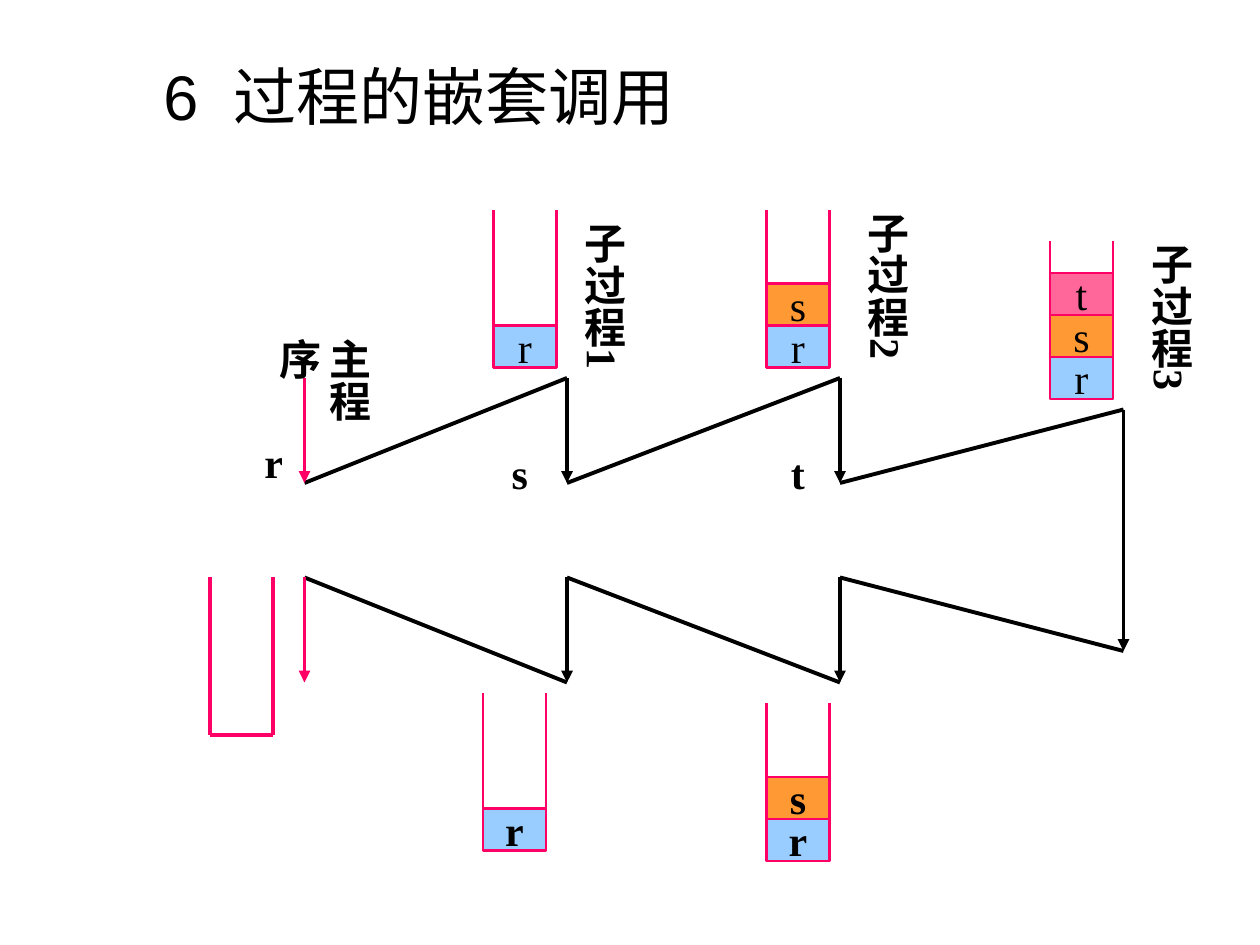
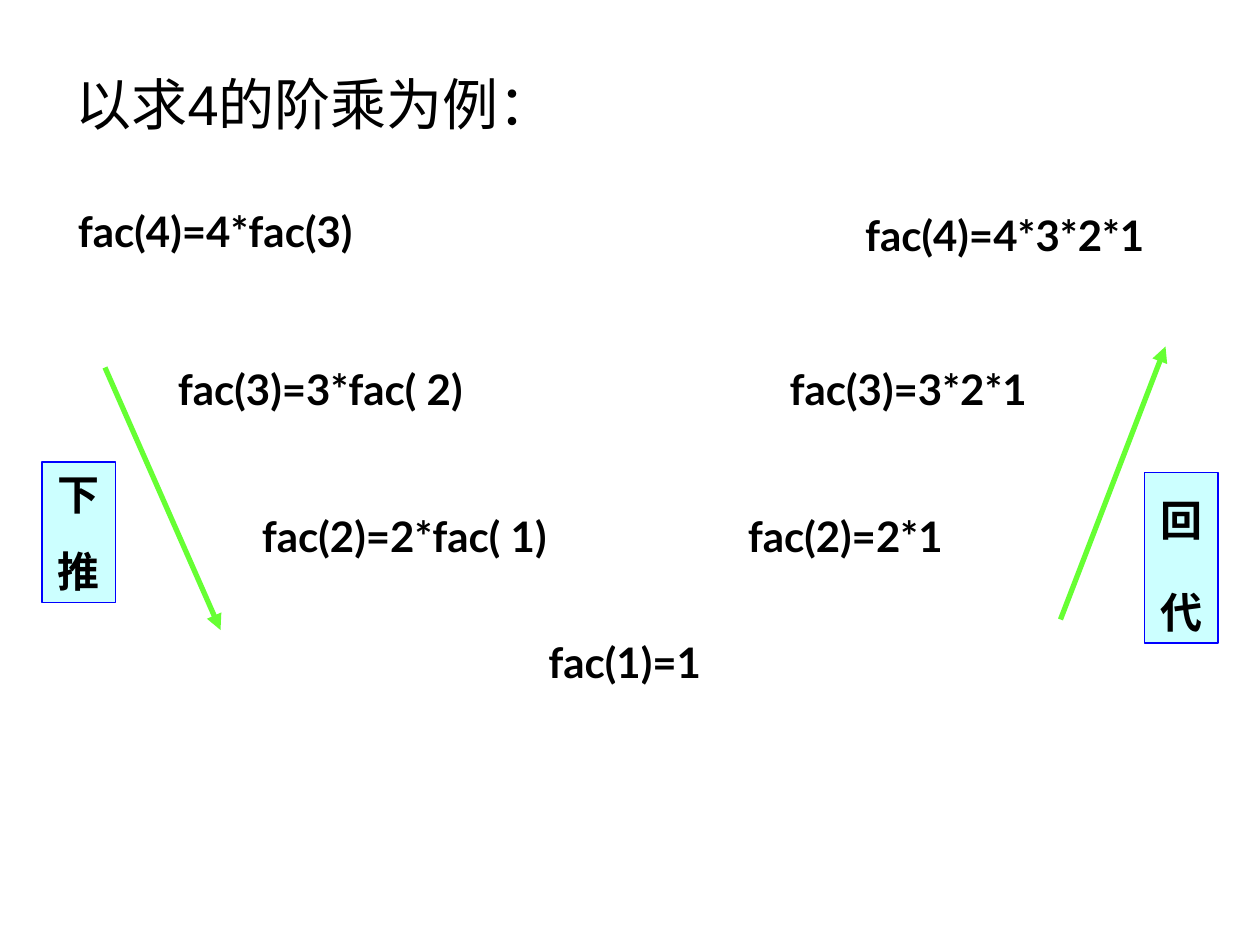
from pptx import Presentation
from pptx import util as u
from pptx.dml.color import RGBColor
from pptx.enum import shapes, text
from pptx.oxml.ns import qn
from lxml import etree

PX = 9525  # EMU per px, 96 px to the inch
BLACK, PINK, GREEN, BLUE = "000000", "FF0066", "66FF33", "0000FF"
PALE = "CCFFFF"
CELL_FILL = {"r": "99CCFF", "s": "FF9933", "t": "FF6699"}
STACK_W, STACK_H, CELL_H = 48, 120, 32
LEFT, CENTER = text.PP_ALIGN.LEFT, text.PP_ALIGN.CENTER
SERIF, SANS, TITLE = "Times New Roman", "Lato", "Arial"


def rgb(value):
    return RGBColor.from_string(value)


def px(*values):
    return [v * PX for v in values]


def write(sp, lines, font=SERIF, size=24, bold=True, align=CENTER,
          grow=True, **para):
    """Fill a shape with paragraphs, all in one format."""
    tf = sp.text_frame
    tf.word_wrap = True
    fit = text.MSO_AUTO_SIZE
    tf.auto_size = fit.SHAPE_TO_FIT_TEXT if grow else fit.NONE
    for i, line in enumerate(lines):
        p = tf.paragraphs[0] if i == 0 else tf.add_paragraph()
        r = p.add_run()
        r.text = line
        p.space_before = u.Pt(15 if i else 0)
        for name, value in {"alignment": align, **para}.items():
            setattr(p, name, value)
        for name, value in {"name": font, "size": u.Pt(size), "bold": bold}.items():
            setattr(r.font, name, value)
        r.font.color.rgb = rgb(BLACK)
    return tf


def label(s, box, line, **fmt):
    sp = s.shapes.add_textbox(*px(*box))
    return write(sp, [line], **fmt)


def title(s, box, line, size, margin, indent):
    tf = label(s, box, line, font=TITLE, size=size, bold=False, align=LEFT, grow=False)
    pPr = tf.paragraphs[0]._p.get_or_add_pPr()
    for name, value in {"marL": margin, "indent": indent}.items():
        pPr.set(name, str(value * PX))


def vertical_label(s, box, line, align=CENTER):
    tf = label(s, box, line, align=align)
    sides = {"margin_left": 0.05, "margin_right": 0.05,
             "margin_top": 0.1, "margin_bottom": 0.1}
    for name, value in sides.items():
        setattr(tf, name, u.Inches(value))
    tf._txBody.bodyPr.set("vert", "eaVert")


def line(s, start, end, color=BLACK, width=2.25, arrow=False):
    kind = shapes.MSO_CONNECTOR.STRAIGHT
    c = s.shapes.add_connector(kind, *px(*start, *end))
    c.line.color.rgb = rgb(color)
    c.line.width = u.Pt(width)
    if arrow:
        etree.SubElement(c.line._get_or_add_ln(), qn("a:tailEnd"), type="triangle")
    etree.SubElement(c._element.spPr, qn("a:effectLst"))


def rect(s, box, fill, border, width):
    sp = s.shapes.add_shape(shapes.MSO_SHAPE.RECTANGLE, *px(*box))
    sp.shadow.inherit = False
    sp.fill.solid()
    sp.fill.fore_color.rgb = rgb(fill)
    sp.line.color.rgb = rgb(border)
    sp.line.width = u.Pt(width)
    return sp


def stack(s, left, base, names="", bold=False):
    """An open-topped stack; names are listed from the bottom up."""
    right = left + STACK_W
    width = 1.5 if names else 2.25
    for x in (left, right):
        line(s, (x, base), (x, base - STACK_H), PINK, width)
    if not names:
        line(s, (left, base), (right, base), PINK, width)
    for i, name in enumerate(names, 1):
        sp = rect(s, (left, base - i * CELL_H, STACK_W, CELL_H),
                  CELL_FILL[name], PINK, width)
        tf = write(sp, [name], bold=bold, grow=False)
        tf.word_wrap = False
        tf.vertical_anchor = text.MSO_ANCHOR.MIDDLE


def nested_calls(s):
    title(s, (67, 39, 893, 116), "6  过程的嵌套调用", 36, 78, -30)

    # Calls go up to the next column, returns go down to the previous one
    cols = [232, 432, 640, 856]
    call_tops, return_ends = [288, 288, 312], [520, 520, 496]
    for a, b, top, end in zip(cols, cols[1:], call_tops, return_ends):
        line(s, (a, 368), (b, top))
        line(s, (b, end), (a, 440))

    # Execution arrows
    for x, color in zip(cols, (PINK, BLACK, BLACK)):
        for top in (288, 440):
            line(s, (x, top), (x, top + 80), color, arrow=True)
    line(s, (cols[3], 312), (cols[3], 496), arrow=True)

    # Stack contents at each step
    for left, base, names, bold in [
            (376, 280, "r", False), (584, 280, "rs", False), (800, 304, "rst", False),
            (584, 656, "rs", True), (368, 648, "r", True), (160, 560, "", False)]:
        stack(s, left, base, names, bold)

    # Return addresses and procedure names
    label(s, (192, 328, 32, 48), "r", align=LEFT)
    label(s, (368, 336, 56, 48), "s")
    label(s, (584, 336, 48, 48), "t")
    vertical_label(s, (232, 248, 58, 112), "主程序", LEFT)
    for i, (x, y) in enumerate([(426, 160), (642, 152), (858, 176)], 1):
        vertical_label(s, (x, y, 58, 144), f"子过程{i}")


def factorial(s):
    title(s, (48, 48, 816, 64), "以求4的阶乘为例：", 32, 36, -36)

    # Expansion on the left, substitution on the right
    for x, y, w, formula in [
            (40, 152, 248, "fac(4)=4*fac(3)"),
            (120, 272, 248, "fac(3)=3*fac( 2)"),
            (184, 384, 248, "fac(2)=2*fac( 1)"),
            (352, 480, 248, "fac(1)=1"),
            (520, 384, 248, "fac(2)=2*1"),
            (568, 272, 248, "fac(3)=3*2*1"),
            (616, 155, 299, "fac(4)=4*3*2*1")]:
        label(s, (x, y, w, 48), formula, font=SANS)

    # Direction tags and arrows
    for box, chars, spacing in [((32, 352, 56, 107), "下推", 1.0),
                                ((872, 360, 56, 130), "回代", 1.3)]:
        write(rect(s, box, PALE, BLUE, 1), chars, font=SANS, line_spacing=spacing)
    line(s, (80, 280), (168, 480), GREEN, 3, arrow=True)
    line(s, (808, 472), (888, 264), GREEN, 3, arrow=True)


def main():
    prs = Presentation()
    prs.slide_width, prs.slide_height = px(960, 720)
    for build in (nested_calls, factorial):
        build(prs.slides.add_slide(prs.slide_layouts[6]))
    prs.save("out.pptx")


if __name__ == "__main__":
    main()
